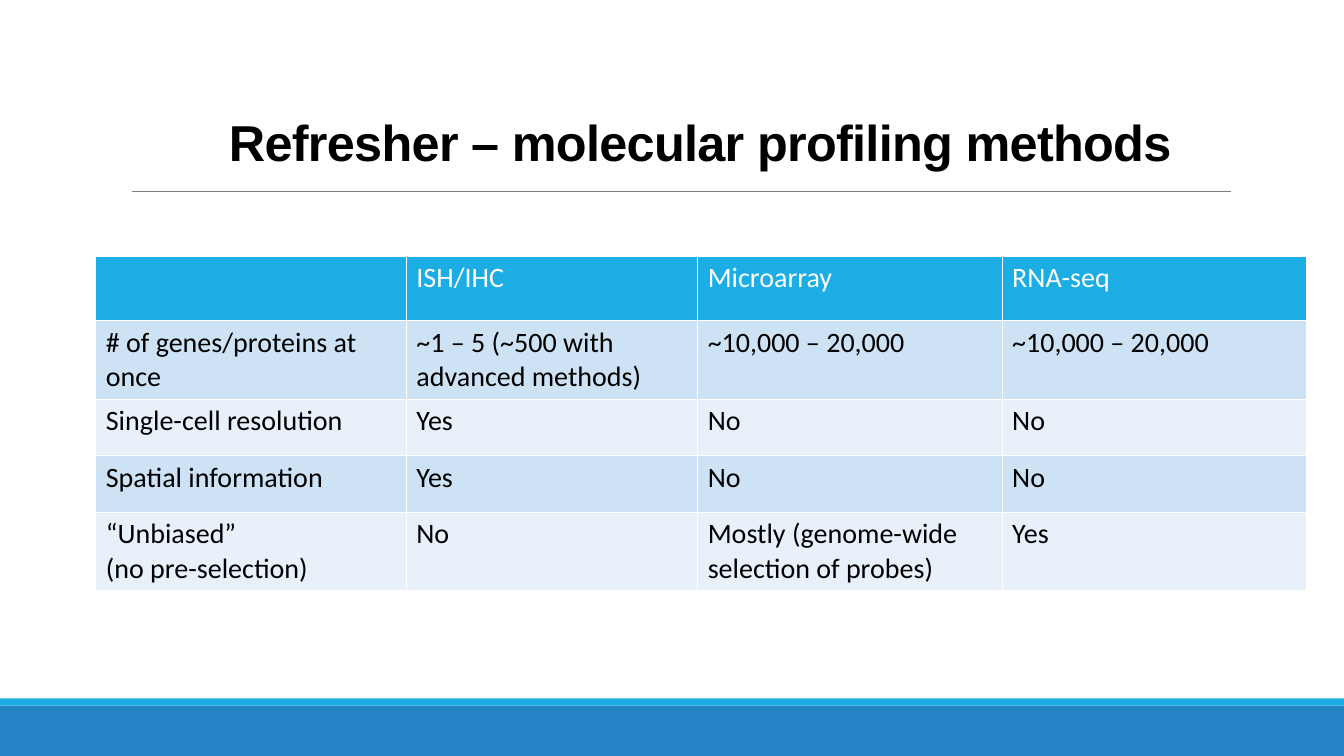
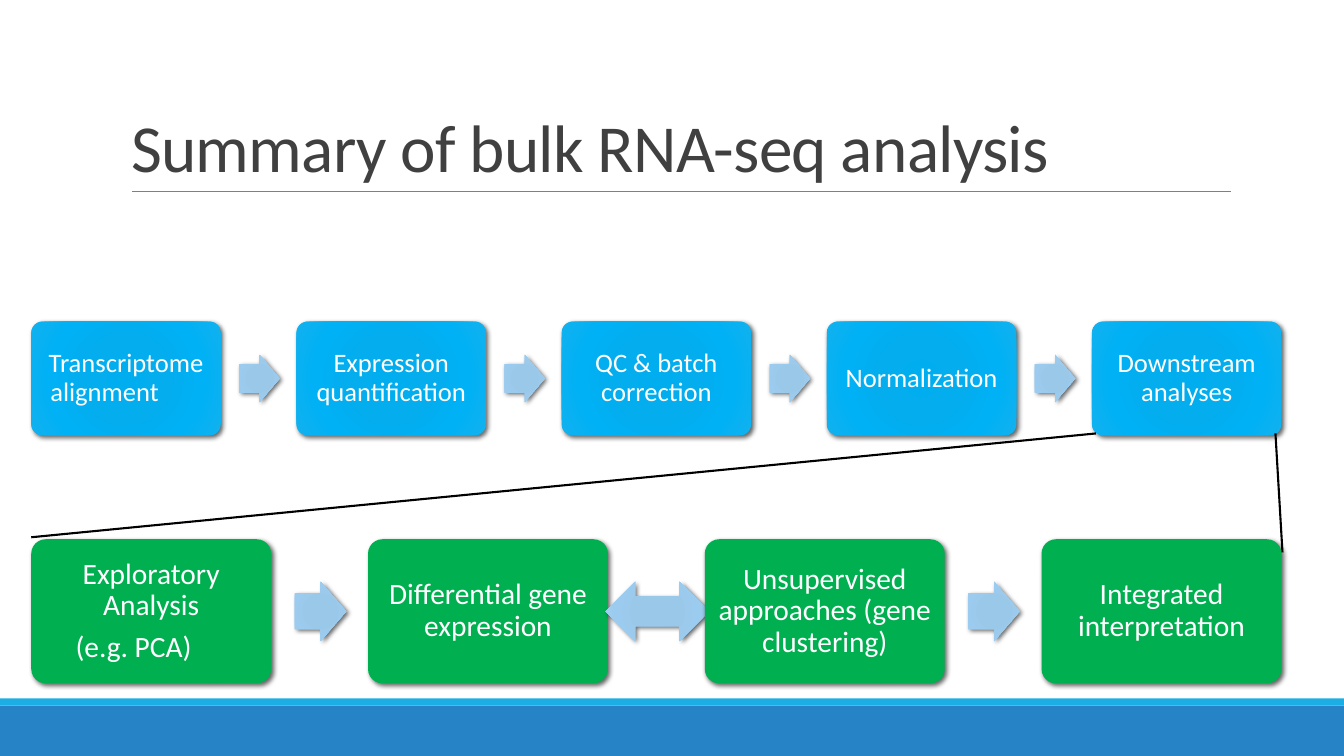
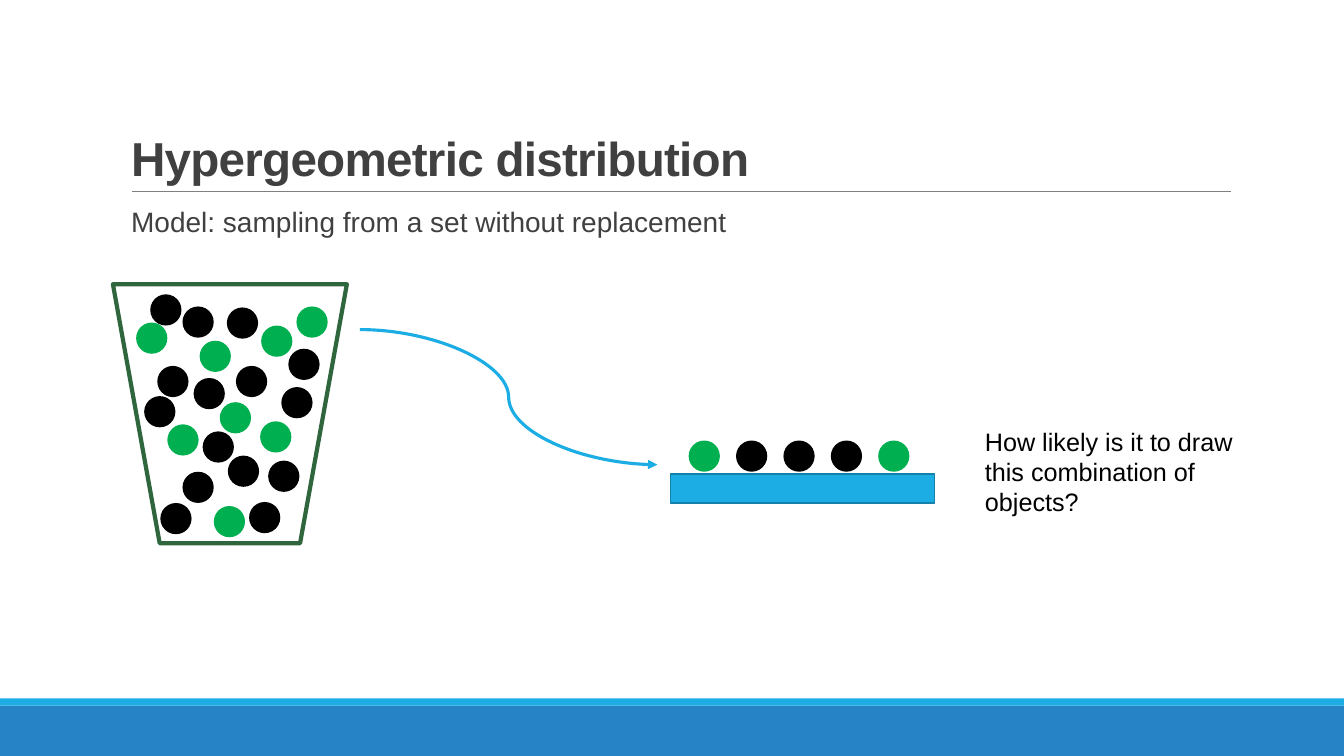
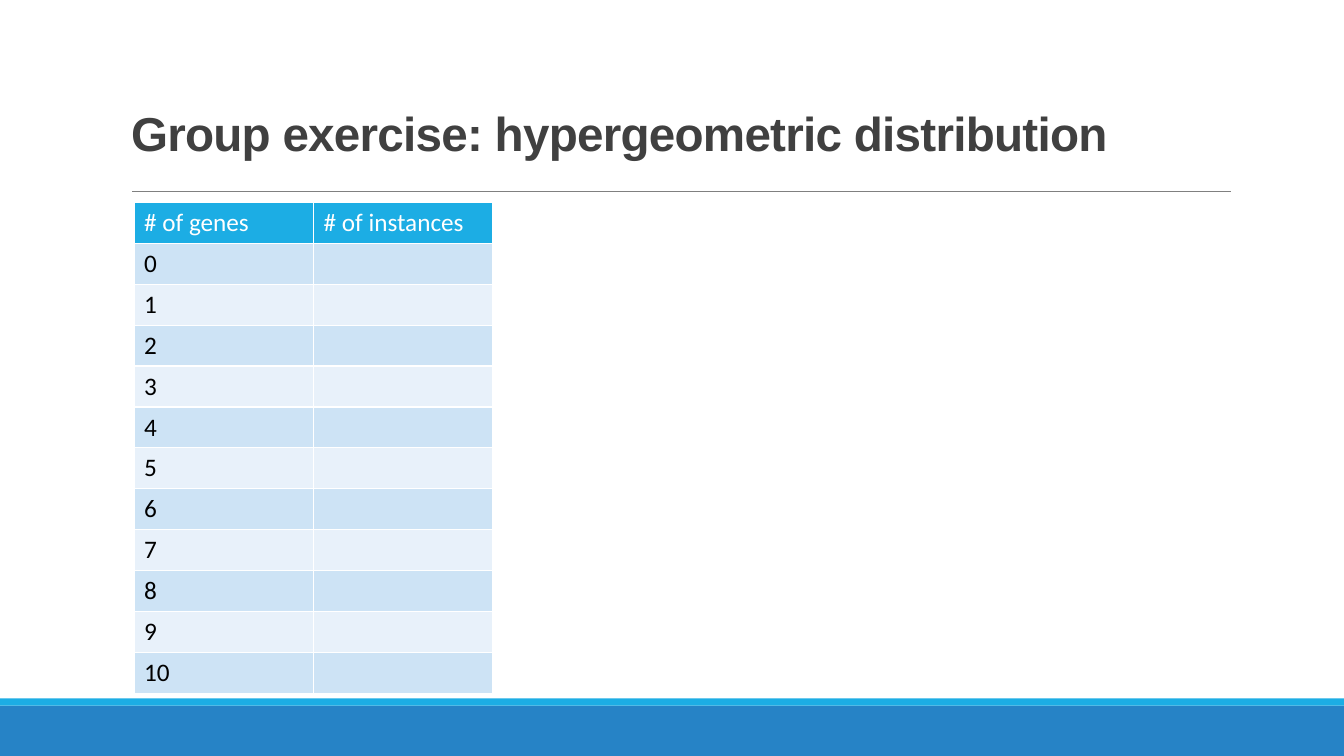
from pptx import Presentation
from pptx import util as u
from pptx.dml.color import RGBColor
from pptx.enum import shapes, text
from pptx.oxml import ns, parse_xml

SKY, BLUE, EDGE = "1CADE4", "2683C6", "1580A9"
GREEN, BLACK, WHITE = "00B050", "000000", "FFFFFF"
GREY, RULE, BUCKET = "404040", "808080", "2F663E"
STRIPES = ("CDE3F5", "E8F1FA")
BOX_GLOW = ((0, "00ADEF"), (34, "03ADEE"), (70, "00B1F5"), (100, "12B1EE"))
ARROW_GLOW = ((0, "97C6E8"), (34, "9AC8E9"), (70, "9BCBEE"), (100, "A9D3F3"))
KIND = shapes.MSO_SHAPE
LINE = shapes.MSO_CONNECTOR

METHODS = [
    ["", "ISH/IHC", "Microarray", "RNA-seq"],
    ["# of genes/proteins at once", "~1 – 5 (~500 with advanced methods)",
     "~10,000 – 20,000", "~10,000 – 20,000"],
    ["Single-cell resolution", "Yes", "No", "No"],
    ["Spatial information", "Yes", "No", "No"],
    ["“Unbiased”\n(no pre-selection)", "No",
     "Mostly (genome-wide selection of probes)", "Yes"],
]
GENE_COUNTS = [["# of genes", "# of instances"]] + [[str(n), ""] for n in range(11)]

FLOWS = [
    dict(steps=["Transcriptome alignment\t", "Expression quantification",
                "QC & batch correction", "Normalization", "Downstream analyses"],
         top=3.19, box=(1.88, 1.13), pitch=2.63, arrow=(0.4, 0.47), two_way=None,
         fill=BOX_GLOW, size=19, inset=0.08),
    dict(steps=["Exploratory Analysis\n(e.g. PCA)\t", "Differential gene expression",
                "Unsupervised approaches (gene clustering)",
                "Integrated interpretation"],
         top=5.35, box=(2.38, 1.43), pitch=3.34, arrow=(0.51, 0.59), two_way=1,
         fill=GREEN, size=21, inset=0.09),
]
FLOW_LEFT, TWO_WAY_WIDTH = 0.31, 1.03
ZOOM_LINES = [(10.87, 4.3, 0.31, 5.33), (12.65, 4.3, 12.72, 5.48)]

BALL = 0.31
BUCKET_BALLS = {
    BLACK: [(1.59, 4.99), (1.81, 4.68), (2.26, 4.52), (1.56, 3.63), (1.92, 3.75),
            (1.81, 3.04), (2.25, 3.05), (2.47, 4.98), (2.66, 4.57), (2.01, 4.28),
            (1.43, 3.93), (2.34, 3.63), (2.79, 3.84), (2.86, 3.46), (1.49, 2.92)],
    GREEN: [(1.66, 4.21), (2.18, 3.99), (1.35, 3.2), (2.12, 5.02), (2.58, 4.18),
            (1.98, 3.38), (2.59, 3.23), (2.94, 3.04)],
}
DRAWN_BALLS = [GREEN, BLACK, BLACK, BLACK, GREEN]


def rgb(value):
    return RGBColor.from_string(value)


def inches(*values):
    return [u.Inches(value) for value in values]


def xml(source):
    """Parse one DrawingML element, adding the namespace to its tag."""
    tag, rest = source.split(" ", 1)
    return parse_xml(f"{tag} {ns.nsdecls('a')} {rest}")


def write(frame, content, size, font="Calibri", color=BLACK, bold=False,
          align=text.PP_ALIGN.LEFT, leading=None, gap=0, spacing=None):
    """Fill a text frame, one paragraph per line of content."""
    for i, words in enumerate(content.split("\n")):
        para = frame.add_paragraph() if i else frame.paragraphs[0]
        para.alignment = align
        para.space_before = u.Pt(gap if i else 0)
        if leading:
            para.line_spacing = leading
        span = para.add_run()
        span.text = words
        span.font.size, span.font.name, span.font.bold = u.Pt(size), font, bold
        span.font.color.rgb = rgb(color)
        if spacing:
            span.font._element.set("spc", str(round(spacing * 100)))


def add_figure(page, kind, at, fill=None, line=None, width=1, adjust=()):
    figure = page.shapes.add_shape(kind, *inches(*at))
    figure.shadow.inherit = False
    for i, value in enumerate(adjust):
        figure.adjustments[i] = value
    if isinstance(fill, str):
        figure.fill.solid()
        figure.fill.fore_color.rgb = rgb(fill)
    elif fill:
        paint_glow(figure, fill)
    else:
        figure.fill.background()
    if line:
        figure.line.color.rgb = rgb(line)
        figure.line.width = u.Pt(width)
    else:
        figure.line.fill.background()
    return figure


def paint_glow(figure, stops):
    """Give a figure a circular gradient of (percent, colour) stops."""
    figure.fill.gradient()
    marks = "".join(f'<a:gs pos="{pos * 1000}"><a:srgbClr val="{color}"/></a:gs>'
                    for pos, color in stops)
    props = figure.element.spPr
    props.replace(props.find(ns.qn("a:gradFill")), xml(
        f'<a:gradFill rotWithShape="1"><a:gsLst>{marks}</a:gsLst><a:path path="circle">'
        '<a:fillToRect l="100000" t="100000" r="100000" b="100000"/>'
        '</a:path></a:gradFill>'))


def add_shadow(figure):
    figure.element.spPr.find(ns.qn("a:effectLst")).append(xml(
        '<a:outerShdw blurRad="44450" dist="25400" dir="2700000" rotWithShape="0">'
        f'<a:srgbClr val="{BLACK}"><a:alpha val="60000"/></a:srgbClr></a:outerShdw>'))


def add_line(page, points, color, width, kind=LINE.STRAIGHT, arrow=False):
    line = page.shapes.add_connector(kind, *inches(*points))
    line.line.color.rgb = rgb(color)
    line.line.width = u.Pt(width)
    if arrow:
        line.line._get_or_add_ln().append(xml('<a:tailEnd type="triangle"/>'))
    line.element.spPr.append(xml("<a:effectLst />"))
    return line


def add_grid(page, rows, left, top, widths, heights, size):
    """Add a striped table with a header row and white cell borders."""
    grid = page.shapes.add_table(len(rows), len(widths), *inches(
        left, top, sum(widths), sum(heights))).table
    for column, width in zip(grid.columns, widths):
        column.width = u.Inches(width)
    for r, (row, height) in enumerate(zip(rows, heights)):
        grid.rows[r].height = u.Inches(height)
        for c, words in enumerate(row):
            cell = grid.cell(r, c)
            props = cell._tc.get_or_add_tcPr()
            for side in "LRTB":
                props.append(xml(f'<a:ln{side} w="12700"><a:solidFill><a:srgbClr '
                                 f'val="{WHITE}"/></a:solidFill></a:ln{side}>'))
            cell.fill.solid()
            cell.fill.fore_color.rgb = rgb(STRIPES[(r - 1) % 2] if r else SKY)
            if words:
                write(cell.text_frame, words, size, color=BLACK if r else WHITE)


def add_page(deck, layout, title, at=(1.2, 0.31, 11, 1.59), size=34, font="Arial",
             color=GREY, bold=True):
    page = deck.slides.add_slide(deck.slide_layouts[layout])
    box = page.shapes.title
    box.left, box.top, box.width, box.height = inches(*at)
    frame = box.text_frame
    frame.auto_size = text.MSO_AUTO_SIZE.NONE
    frame.vertical_anchor = text.MSO_ANCHOR.BOTTOM
    write(frame, title, size, font, color, bold, leading=0.85, spacing=-0.5)
    return page


def decorate_master(deck, page):
    """Draw the bands and title rule on a page, then move them to the master."""
    parts = [add_figure(page, KIND.RECTANGLE, (0, 7, 13.33, 0.5), BLUE),
             add_figure(page, KIND.RECTANGLE, (0, 6.93, 13.33, 0.07), SKY),
             add_line(page, (1.31, 1.9, 12.21, 1.9), RULE, 0.5)]
    for number, part in enumerate(parts, 101):
        part.element.xpath("./*/p:cNvPr")[0].set("id", str(number))
        deck.slide_master.shapes.element.append(part.element)


def add_flow(page, steps, top, box, pitch, arrow, two_way, fill, size, inset):
    width, height = box
    for i, step in enumerate(steps):
        left = FLOW_LEFT + i * pitch
        card = add_figure(page, KIND.ROUNDED_RECTANGLE, (left, top, width, height),
                          fill, adjust=[0.1])
        add_shadow(card)
        frame = card.text_frame
        frame.word_wrap = True
        frame.vertical_anchor = text.MSO_ANCHOR.MIDDLE
        frame.margin_left = frame.margin_right = u.Inches(inset)
        frame.margin_top = frame.margin_bottom = u.Inches(inset)
        write(frame, step, size, color=WHITE, align=text.PP_ALIGN.CENTER,
              leading=0.9, gap=7)
        if i == len(steps) - 1:
            break
        both = i == two_way
        long, high = (TWO_WAY_WIDTH if both else arrow[0]), arrow[1]
        middle = left + (width + pitch) / 2 + 0.01
        add_shadow(add_figure(
            page, KIND.LEFT_RIGHT_ARROW if both else KIND.RIGHT_ARROW,
            (middle - long / 2, top + (height - high) / 2, long, high),
            ARROW_GLOW, adjust=[] if both else [0.6, 0.5]))


def add_ball(page, left, top, color):
    add_figure(page, KIND.OVAL, (left, top, BALL, BALL), color)


def build_methods(deck):
    page = add_page(deck, 5, "Refresher – molecular profiling methods",
                    (2.17, 0.01, 10.5, 1.74), 36, color=BLACK)
    decorate_master(deck, page)
    add_grid(page, METHODS, 0.95, 2.54, [3.08, 2.89, 3.02, 3.02],
             [0.64, 0.78, 0.56, 0.56, 0.78], 20)


def build_summary(deck):
    page = add_page(deck, 5, "Summary of bulk RNA-seq analysis", size=48,
                    font="Calibri", bold=False)
    for flow in FLOWS:
        add_flow(page, **flow)
    for points in ZOOM_LINES:
        add_line(page, points, BLACK, 1.5)


def build_sampling(deck):
    page = add_page(deck, 1, "Hypergeometric distribution")
    body = page.placeholders[1]
    body.left, body.top, body.width, body.height = inches(1.2, 2.02, 11, 4.4)
    frame = body.text_frame
    frame.margin_left = frame.margin_right = 0
    props = frame.paragraphs[0]._p.get_or_add_pPr()
    props.set("marL", str(u.Inches(0.1)))
    props.set("indent", str(u.Inches(-0.1)))
    props.append(xml(f'<a:buClr ><a:srgbClr val="{SKY}"/></a:buClr>'))
    props.append(xml('<a:buChar char=" "/>'))
    write(frame, "Model: sampling from a set without replacement", 20, "Arial",
          GREY, leading=0.9)

    add_figure(page, KIND.FLOWCHART_MANUAL_OPERATION, (1.12, 2.82, 2.32, 2.57),
               line=BUCKET, width=3)
    for color, places in BUCKET_BALLS.items():
        for left, top in places:
            add_ball(page, left, top, color)
    add_figure(page, KIND.RECTANGLE, (6.65, 4.7, 2.62, 0.29), SKY, EDGE, 1.25)
    for i, color in enumerate(DRAWN_BALLS):
        add_ball(page, 6.83 + 0.47 * i, 4.37, color)
    add_line(page, (3.57, 3.27, 6.52, 4.61), SKY, 2.25, LINE.CURVE, arrow=True)

    question = page.shapes.add_textbox(*inches(9.67, 4.18, 3.04, 1.01)).text_frame
    question.word_wrap = True
    write(question, "How likely is it to draw this combination of objects?", 18,
          "Arial")


def build_exercise(deck):
    page = add_page(deck, 5, "Group exercise: hypergeometric distribution",
                    (1.2, 0.31, 11, 1.34))
    count = len(GENE_COUNTS)
    add_grid(page, GENE_COUNTS, 1.33, 2.01, [1.78] * 2, [4.87 / count] * count, 18)


def main():
    deck = Presentation()
    deck.slide_width, deck.slide_height = inches(13.33, 7.5)
    for build in (build_methods, build_summary, build_sampling, build_exercise):
        build(deck)
    deck.save("out.pptx")


if __name__ == "__main__":
    main()
